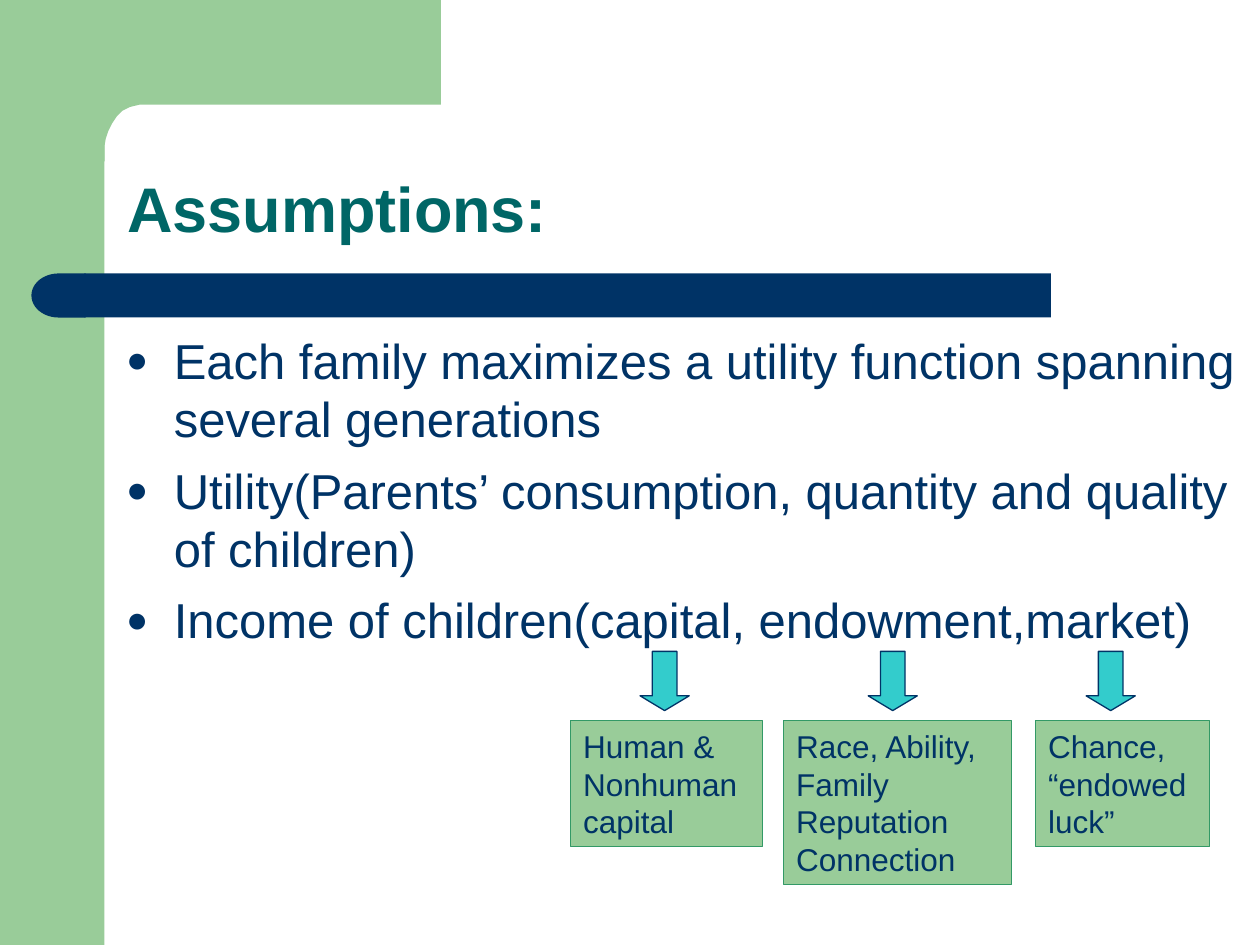
"""Build the slide on family utility assumptions."""
from lxml.etree import SubElement
from pptx import Presentation
from pptx.dml.color import RGBColor
from pptx.enum.shapes import MSO_SHAPE
from pptx.enum.text import MSO_ANCHOR, MSO_AUTO_SIZE, PP_ALIGN
from pptx.oxml.ns import qn
from pptx.util import Inches, Pt

NAVY, GREEN = "003366", "99CC99"


def paint(item, tone):
    item.fill.solid()
    item.fill.fore_color.rgb = RGBColor.from_string(tone)
    item.line.fill.background()
    item.shadow.inherit = False


def write(para, words, size, tone, bold=False):
    para.alignment = PP_ALIGN.LEFT
    run = para.add_run()
    run.text = words
    run.font.name = "Arial"
    run.font.size = Pt(size)
    run.font.bold = bold
    run.font.color.rgb = RGBColor.from_string(tone)


deck = Presentation()
deck.slide_width, deck.slide_height = Inches(10), Inches(7.5)
slide = deck.slides.add_slide(deck.slide_layouts[1])
shapes = slide.shapes
title, body = shapes.title, slide.placeholders[1]

side = shapes.add_shape(MSO_SHAPE.RECTANGLE, 0, 0, Inches(0.83), Inches(7.5))
paint(side, GREEN)

edge = [(3.5, 0.83), (1.16, 0.83), (1.11, 0.83), (1.03, 0.85), (0.97, 0.88),
        (0.93, 0.92), (0.89, 0.98), (0.86, 1.04), (0.84, 1.1), (0.83, 1.16),
        (0.83, 1.28), (0.5, 1.28), (0.5, 0)]
pen = shapes.build_freeform(Inches(3.5), 0)
pen.add_line_segments([(Inches(x), Inches(y)) for x, y in edge])
paint(pen.convert_to_shape(), GREEN)

bar = shapes.add_shape(MSO_SHAPE.RECTANGLE, Inches(0.67), Inches(2.17), Inches(7.67), Inches(0.35))
paint(bar, NAVY)
cap = shapes.add_shape(MSO_SHAPE.FLOWCHART_DELAY, Inches(0.25), Inches(2.17), Inches(0.43), Inches(0.35))
cap._element.spPr.find(qn("a:xfrm")).set("flipH", "1")
paint(cap, NAVY)

title.left, title.top, title.width, title.height = Inches(0.91), Inches(0.91), Inches(8.51), Inches(1.09)
frame = title.text_frame
frame.auto_size = MSO_AUTO_SIZE.NONE
frame.vertical_anchor = MSO_ANCHOR.BOTTOM
frame.paragraphs[0].line_spacing = 0.9
write(frame.paragraphs[0], "Assumptions:", 36, "006666", True)

body.left, body.top, body.width, body.height = Inches(0.9), Inches(2.57), Inches(9.1), Inches(4.07)
frame = body.text_frame
frame.auto_size = MSO_AUTO_SIZE.NONE
points = [
    "Each family maximizes a utility function spanning several generations",
    "Utility(Parents’ consumption, quantity and quality of children)",
    "Income of children(capital, endowment,market)",
]
for num, words in enumerate(points):
    para = frame.add_paragraph() if num else frame.paragraphs[0]
    write(para, words, 28, NAVY)
    para.space_before = Pt(7)
    props = para._p.get_or_add_pPr()
    props.set("marL", str(Inches(0.38)))
    props.set("indent", str(-Inches(0.38)))
    SubElement(SubElement(props, qn("a:buClr")), qn("a:srgbClr")).set("val", NAVY)
    SubElement(props, qn("a:buSzPct")).set("val", "75000")
    SubElement(props, qn("a:buFont")).set("typeface", "Arial")
    SubElement(props, qn("a:buChar")).set("char", "●")

notes = [
    (4.53, 1.52, 1, 5.08, ["Human & Nonhuman capital"]),
    (6.22, 1.81, 1.3, 6.89, ["Race, Ability,", "Family Reputation", "Connection"]),
    (8.22, 1.38, 1, 8.62, ["Chance, “endowed luck”"]),
]
for left, wide, high, tip, lines in notes:
    box = shapes.add_shape(MSO_SHAPE.RECTANGLE, Inches(left), Inches(5.72), Inches(wide), Inches(high))
    paint(box, "008000")
    tint = box._element.spPr.find(qn("a:solidFill"))[0]
    SubElement(tint, qn("a:alpha")).set("val", "40000")
    box.line.color.rgb = RGBColor.from_string("339966")
    box.line.width = Pt(0.75)
    frame = box.text_frame
    frame.word_wrap = True
    frame.vertical_anchor = MSO_ANCHOR.TOP
    for num, words in enumerate(lines):
        para = frame.add_paragraph() if num else frame.paragraphs[0]
        write(para, words, 18, NAVY)

    arrow = shapes.add_shape(MSO_SHAPE.DOWN_ARROW, Inches(tip), Inches(5.17), Inches(0.39), Inches(0.47))
    arrow.adjustments[1] = 0.3
    paint(arrow, "33CCCC")
    arrow.line.color.rgb = RGBColor.from_string(NAVY)
    arrow.line.width = Pt(0.75)

deck.save("out.pptx")
